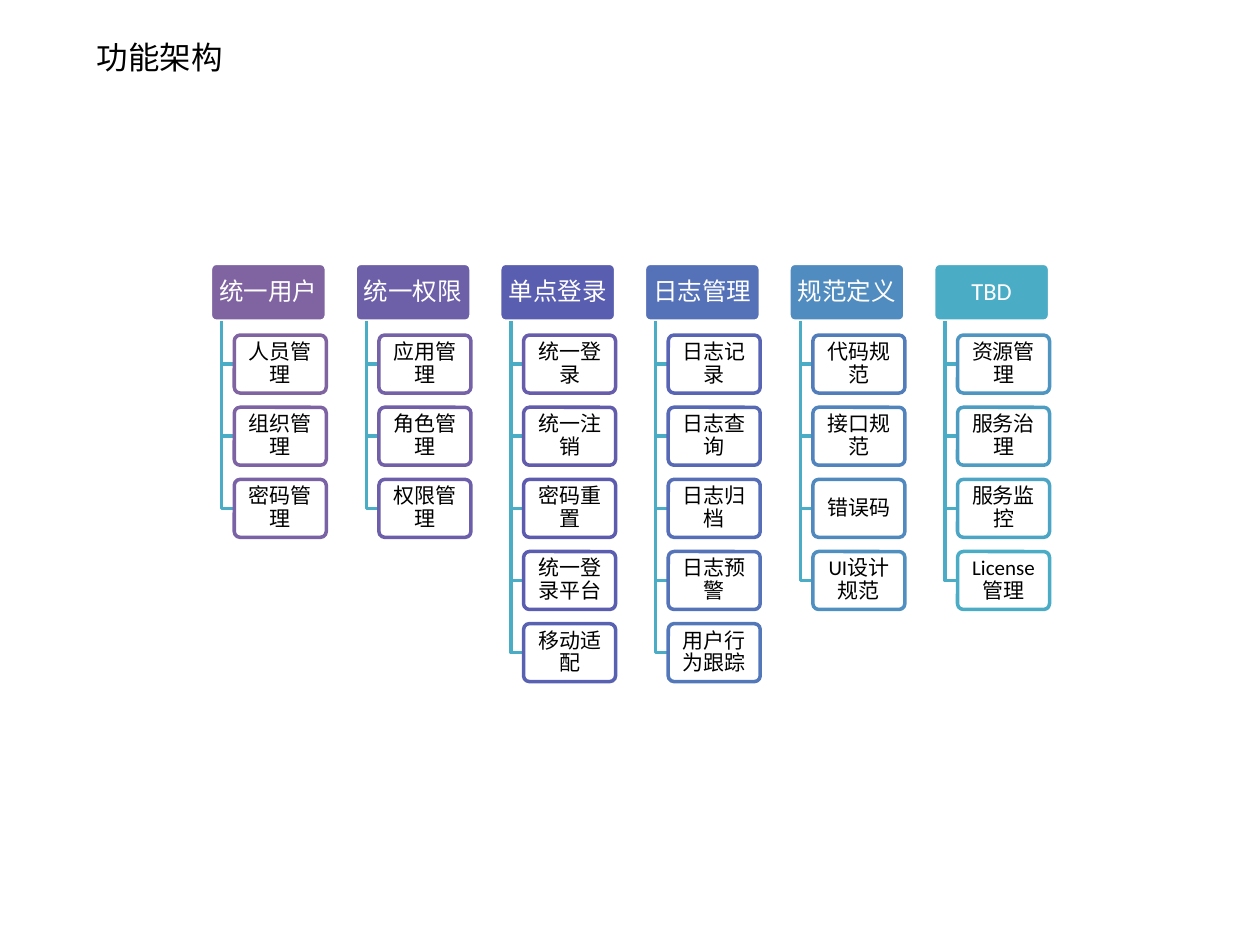
import colorsys

from lxml import etree
from pptx import Presentation
from pptx import util as u
from pptx.dml.color import RGBColor
from pptx.enum import shapes, text
from pptx.oxml import ns

TITLE = "功能架构"
MODULES = [
    ("统一用户", ["人员管理", "组织管理", "密码管理"]),
    ("统一权限", ["应用管理", "角色管理", "权限管理"]),
    ("单点登录", ["统一登录", "统一注销", "密码重置", "统一登录平台", "移动适配"]),
    ("日志管理", ["日志记录", "日志查询", "日志归档", "日志预警", "用户行为跟踪"]),
    ("规范定义", ["代码规范", "接口规范", "错误码", "UI设计规范"]),
    ("TBD", ["资源管理", "服务治理", "服务监控", "License管理"]),
]

PURPLE = RGBColor(0x80, 0x64, 0xA2)
TEAL = RGBColor(0x4B, 0xAC, 0xC6)
WHITE = RGBColor(0xFF, 0xFF, 0xFF)
BLACK = RGBColor(0, 0, 0)

FIRST_LEFT, LAST_LEFT = 1.67, 7.41
HEADER_TOP, HEADER_WIDTH, BOX_HEIGHT = 2.09, 0.92, 0.46
ITEM_TOP, LAST_ITEM_TOP, ITEM_WIDTH = 2.66, 4.95, 0.73
TRUNK_INDENT, ITEM_INDENT = 0.09, 0.19
LINE_WIDTH = u.Pt(2)


def blend(fraction):
    start, end = (
        colorsys.rgb_to_hls(*(channel / 255 for channel in color))
        for color in (PURPLE, TEAL)
    )
    mixed = [a + (b - a) * fraction for a, b in zip(start, end)]
    return RGBColor(*(round(channel * 255) for channel in colorsys.hls_to_rgb(*mixed)))


def write_text(shape, content, size, color=BLACK, align=None, spacing=None):
    paragraph = shape.text_frame.paragraphs[0]
    paragraph.alignment = align
    paragraph.line_spacing = spacing
    run = paragraph.add_run()
    run.text = content
    run.font.size = u.Pt(size)
    run.font.name = "Calibri"
    run.font.color.rgb = color


def add_box(slide, left, top, width, content, fill, line, size, color, opacity=100):
    shape = slide.shapes.add_shape(
        shapes.MSO_SHAPE.ROUNDED_RECTANGLE,
        u.Inches(left), u.Inches(top), u.Inches(width), u.Inches(BOX_HEIGHT),
    )
    shape.adjustments[0] = 0.1
    shape.shadow.inherit = False
    shape.fill.solid()
    shape.fill.fore_color.rgb = fill
    if opacity < 100:
        fill_color = shape.element.spPr.find(ns.qn("a:solidFill"))[0]
        etree.SubElement(fill_color, ns.qn("a:alpha")).set("val", str(opacity * 1000))
    shape.line.color.rgb = line
    shape.line.width = LINE_WIDTH
    frame = shape.text_frame
    frame.word_wrap = True
    frame.vertical_anchor = text.MSO_ANCHOR.MIDDLE
    frame.margin_left = frame.margin_right = u.Inches(0.03)
    frame.margin_top = frame.margin_bottom = u.Inches(0.02)
    write_text(shape, content, size, color, text.PP_ALIGN.CENTER, 0.9)


def add_branch(slide, left, item_middle):
    trunk = u.Inches(left + TRUNK_INDENT)
    start = u.Inches(HEADER_TOP + BOX_HEIGHT)
    end = u.Inches(item_middle)
    builder = slide.shapes.build_freeform(trunk, start)
    builder.add_line_segments(
        [(trunk, end), (u.Inches(left + ITEM_INDENT), end)], close=False
    )
    branch = builder.convert_to_shape()
    branch.shadow.inherit = False
    branch.fill.background()
    branch.line.color.rgb = TEAL
    branch.line.width = LINE_WIDTH


def main():
    presentation = Presentation()
    presentation.slide_width = u.Inches(10)
    presentation.slide_height = u.Inches(7.5)
    slide = presentation.slides.add_slide(presentation.slide_layouts[6])

    column_step = (LAST_LEFT - FIRST_LEFT) / (len(MODULES) - 1)
    row_step = (LAST_ITEM_TOP - ITEM_TOP) / (max(len(items) for _, items in MODULES) - 1)
    last_item = sum(len(items) for _, items in MODULES) - 1
    item_number = 0
    for column, (header, items) in enumerate(MODULES):
        left = FIRST_LEFT + column * column_step
        header_fill = blend(column / (len(MODULES) - 1))
        add_box(slide, left, HEADER_TOP, HEADER_WIDTH, header,
                header_fill, WHITE, 14, WHITE)
        for row, item in enumerate(items):
            top = ITEM_TOP + row * row_step
            add_branch(slide, left, top + BOX_HEIGHT / 2)
            add_box(slide, left + ITEM_INDENT, top, ITEM_WIDTH, item,
                    WHITE, blend(item_number / last_item), 12, BLACK, opacity=90)
            item_number += 1

    title = slide.shapes.add_textbox(
        u.Inches(0.67), u.Inches(0.25), u.Inches(1.21), u.Inches(0.4)
    )
    title.text_frame.word_wrap = False
    title.text_frame.auto_size = text.MSO_AUTO_SIZE.SHAPE_TO_FIT_TEXT
    write_text(title, TITLE, 18)

    presentation.save("out.pptx")


if __name__ == "__main__":
    main()
